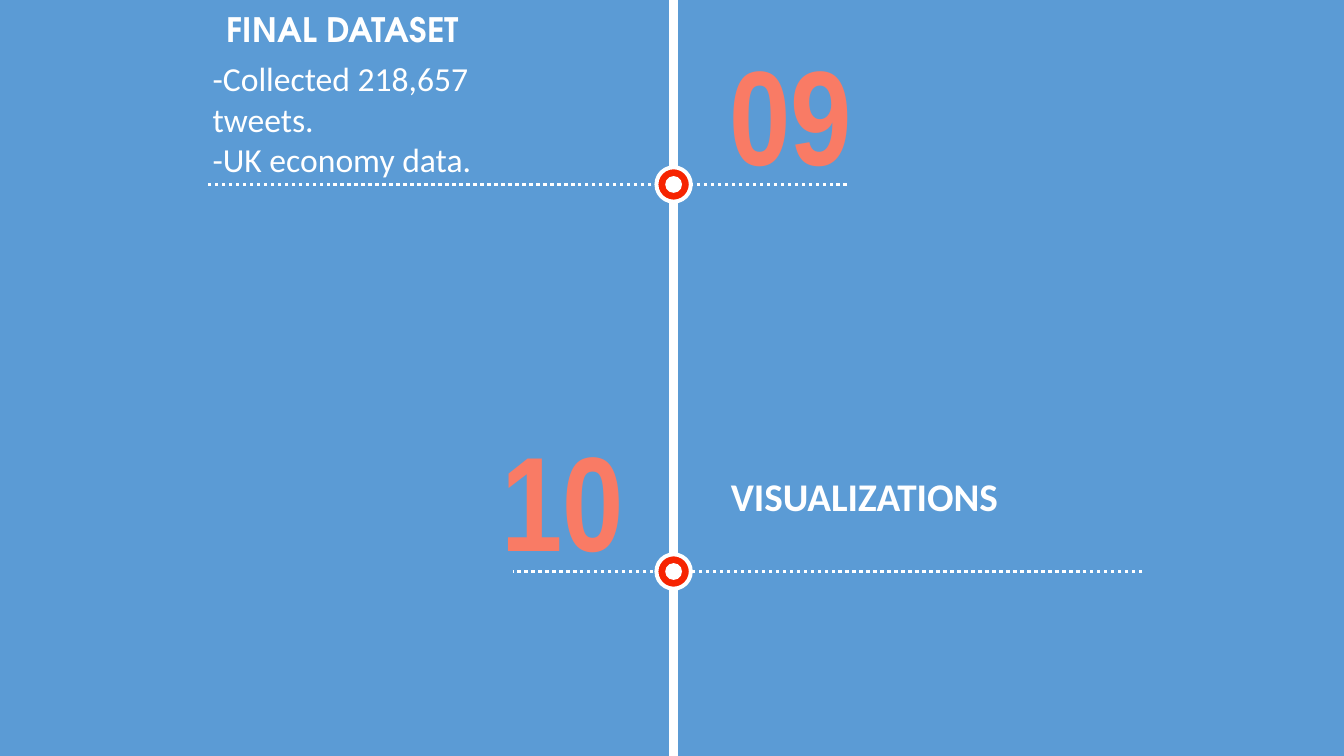
from lxml.etree import SubElement
from pptx import Presentation
from pptx.dml.color import RGBColor
from pptx.enum.dml import MSO_LINE_DASH_STYLE as Dash
from pptx.enum.shapes import MSO_CONNECTOR as Connector, MSO_SHAPE as Shape
from pptx.enum.text import PP_ALIGN as Align
from pptx.oxml.ns import qn
from pptx.util import Inches, Pt

BLUE = RGBColor(0x5B, 0x9B, 0xD5)
WHITE = RGBColor(0xFF, 0xFF, 0xFF)
RED = RGBColor(0xF6, 0x24, 0x01)
CORAL = RGBColor(0xF9, 0x7B, 0x65)
AXIS = 50.12


class Timeline:
    """Draws timeline elements, with lengths in percent of the slide."""

    def __init__(self, deck):
        self.width, self.height = deck.slide_width, deck.slide_height
        self.slide = deck.slides.add_slide(deck.slide_layouts[6])
        self.slide.background.fill.solid()
        self.slide.background.fill.fore_color.rgb = BLUE

    def across(self, share):
        return round(self.width * share / 100)

    def down(self, share):
        return round(self.height * share / 100)

    def line(self, x1, y1, x2, y2, weight, dash=None):
        line = self.slide.shapes.add_connector(
            Connector.STRAIGHT, self.across(x1), self.down(y1),
            self.across(x2), self.down(y2))
        line.line.color.rgb = WHITE
        line.line.width = Pt(weight)
        if dash:
            line.line.dash_style = dash
        SubElement(line._element.spPr, qn("a:effectLst"))

    def disc(self, kind, y, size, color, outlined):
        side = self.across(size)
        disc = self.slide.shapes.add_shape(
            kind, self.across(AXIS) - side // 2, self.down(y) - side // 2, side, side)
        disc.shadow.inherit = False
        disc.fill.solid()
        disc.fill.fore_color.rgb = color
        if outlined:
            disc.line.color.rgb = color
            disc.line.width = Pt(1)
        else:
            disc.line.fill.background()
        return disc

    def milestone(self, y, left, right):
        self.line(right, y, left, y, 2.5, Dash.ROUND_DOT)
        self.disc(Shape.OVAL, y, 2.33, RED, True)
        ring = self.disc(Shape.DONUT, y, 2.75, WHITE, True)
        ring.adjustments[0] = 0.07
        self.disc(Shape.OVAL, y, 1.25, WHITE, False)

    def text(self, words, x, y, width, height, size, font="Calibri",
             color=WHITE, bold=True, align=Align.LEFT):
        box = self.slide.shapes.add_textbox(
            self.across(x), self.down(y), self.across(width), self.down(height))
        frame = box.text_frame
        frame.word_wrap = True
        frame.text = words
        for para in frame.paragraphs:
            para.alignment = align
            for span in para.runs:
                span.font.name = font
                span.font.size = Pt(size)
                span.font.bold = bold
                span.font.color.rgb = color

    def number(self, words, x, y):
        self.text(words, x, y, 13.35, 22.93, 96, "Arial Narrow", CORAL, align=Align.CENTER)


def main():
    deck = Presentation()
    deck.slide_width, deck.slide_height = Inches(13.33), Inches(7.5)
    page = Timeline(deck)
    page.line(AXIS, 0, AXIS, 100, 6)

    page.number("10", 35.18, 54.53)
    page.text("VISUALIZATIONS", 53.64, 61.87, 40.21, 16.67, 28)
    page.milestone(75.6, 38.18, 85)

    page.milestone(24.4, 15.23, 63.02)
    page.number("09", 52.14, 3.47)
    page.text("FINAL DATASET", 13.05, 0.53, 24.91, 12.13, 24,
              "TeX Gyre Adventor", align=Align.CENTER)
    page.text("-Collected 218,657 tweets.\n-UK economy data.",
              15.08, 7.07, 20.93, 17.47, 24, bold=False)

    deck.save("out.pptx")


if __name__ == "__main__":
    main()
